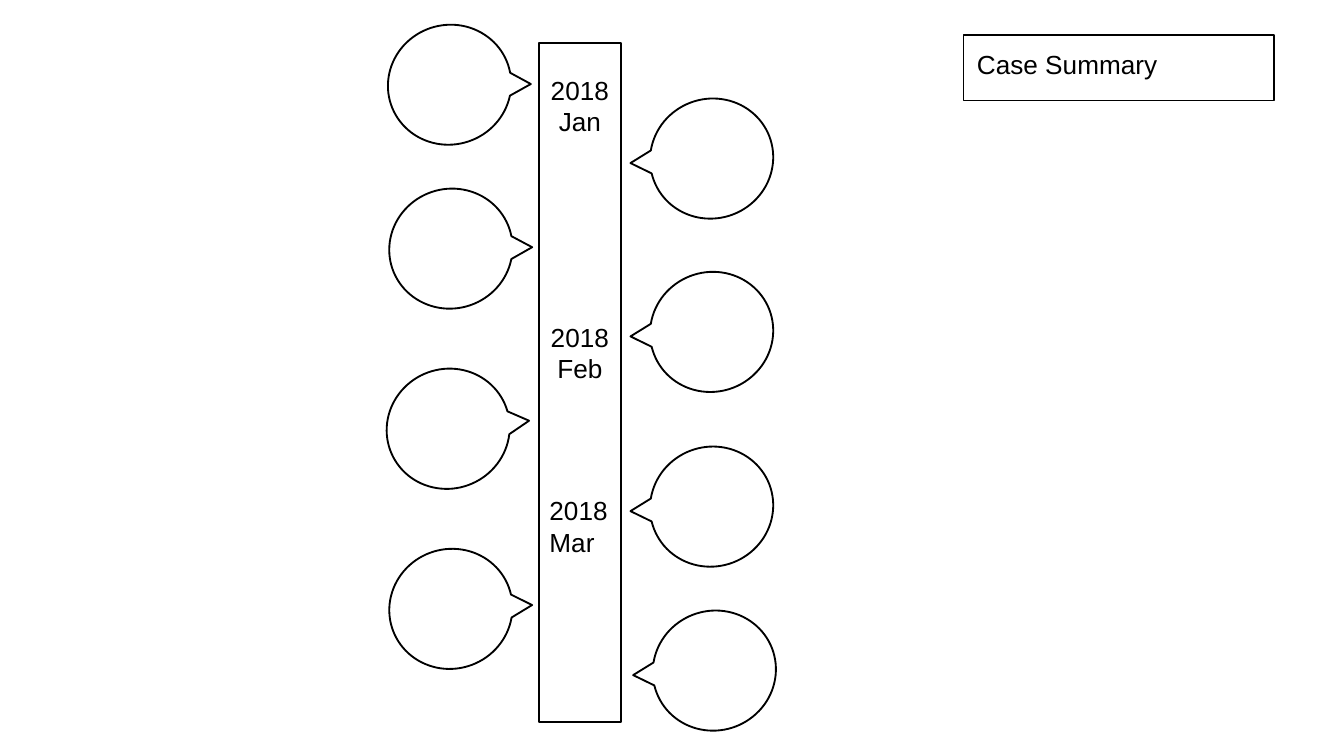
import pptx
import pptx.dml.color
import pptx.enum.shapes
import pptx.enum.text
import pptx.util

Inches = pptx.util.Inches
Align = pptx.enum.text.PP_ALIGN
Shape = pptx.enum.shapes.MSO_SHAPE

THEME = {
    "ink": pptx.dml.color.RGBColor.from_string("000000"),
    "paper": pptx.dml.color.RGBColor.from_string("FFFFFF"),
    "font": "Arial",
    "size": pptx.util.Pt(14),
    "line": pptx.util.Pt(1),
    "thin": pptx.util.Pt(0.75),
}

TIMELINE = (4.01, 0.32, 0.61, 5.05)
SUMMARY = ("Case Summary", (7.17, 0.26, 2.31, 0.49))
MONTHS = [
    ("2018\nMar", (3.99, 3.58, 0.67, 0.6), Align.LEFT),
    ("2018\nFeb", (3.98, 2.29, 0.67, 0.6), Align.CENTER),
    ("2018\nJan", (3.98, 0.45, 0.67, 0.65), Align.CENTER),
]
BUBBLE_SIZE = (0.89, 0.92)
BUBBLE_TAIL = (-0.21, 5 / 8)
RIGHT_TURN = 68.8
BUBBLES = [
    (4.85, 0.72, RIGHT_TURN),
    (4.85, 2.01, RIGHT_TURN),
    (2.91, 1.39, 251),
    (2.91, 4.07, 249.3),
    (2.89, 2.73, 246.3),
    (2.9, 0.17, 251.5),
    (4.85, 3.31, RIGHT_TURN),
    (4.87, 4.53, RIGHT_TURN),
]


def add_outline(page, kind, place, width, filled=True):
    shape = page.shapes.add_shape(kind, *map(Inches, place))
    shape.shadow.inherit = False
    if filled:
        shape.fill.solid()
        shape.fill.fore_color.rgb = THEME["paper"]
    else:
        shape.fill.background()
    shape.line.color.rgb = THEME["ink"]
    shape.line.width = width
    return shape


def write(shape, text, align):
    frame = shape.text_frame
    frame.text = text
    frame.word_wrap = True
    frame.vertical_anchor = pptx.enum.text.MSO_ANCHOR.TOP
    frame.margin_left = frame.margin_right = Inches(0.1)
    frame.margin_top = frame.margin_bottom = Inches(0.1)
    for para in frame.paragraphs:
        para.alignment = align
        for span in para.runs:
            span.font.name = THEME["font"]
            span.font.size = THEME["size"]
            span.font.color.rgb = THEME["ink"]


def main():
    deck = pptx.Presentation()
    deck.slide_width = Inches(10)
    deck.slide_height = deck.slide_width * 9 // 16
    page = deck.slides.add_slide(deck.slide_layouts[6])

    add_outline(page, Shape.RECTANGLE, TIMELINE, THEME["line"])
    for left, top, turn in BUBBLES:
        bubble = add_outline(page, Shape.OVAL_CALLOUT, (left, top, *BUBBLE_SIZE), THEME["line"])
        bubble.rotation = turn
        for index, value in enumerate(BUBBLE_TAIL):
            bubble.adjustments[index] = value

    for text, place, align in MONTHS:
        write(page.shapes.add_textbox(*map(Inches, place)), text, align)

    text, place = SUMMARY
    write(add_outline(page, Shape.RECTANGLE, place, THEME["thin"], filled=False), text, Align.LEFT)

    deck.save("out.pptx")


if __name__ == "__main__":
    main()
